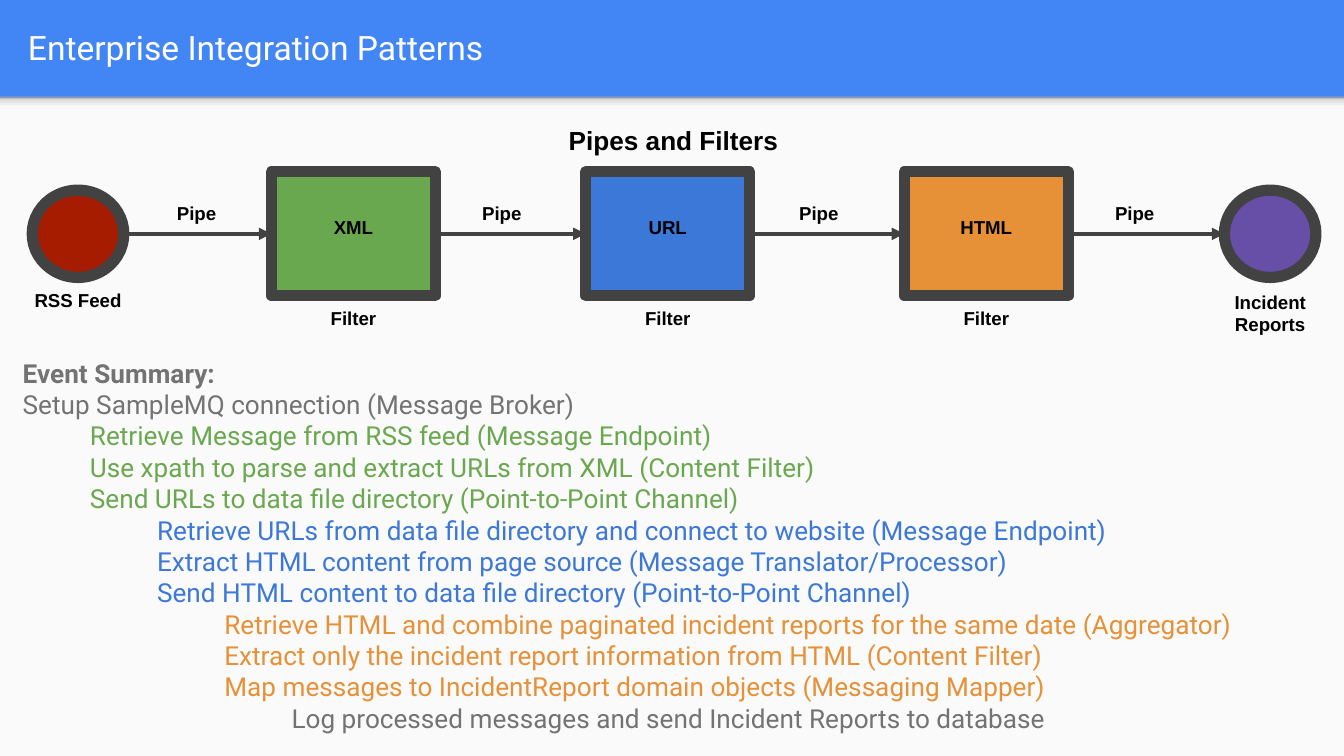
import pptx
import pptx.util
import pptx.dml.color
import pptx.enum.shapes
import pptx.enum.text
import pptx.oxml
import pptx.oxml.ns
from lxml import etree

Cm = pptx.util.Cm
Pt = pptx.util.Pt
RGB = pptx.dml.color.RGBColor
Kind = pptx.enum.shapes.MSO_SHAPE
Align = pptx.enum.text.PP_ALIGN
Anchor = pptx.enum.text.MSO_ANCHOR
qn = pptx.oxml.ns.qn

BLUE = RGB(0x42, 0x85, 0xF4)
PAPER = RGB(0xFA, 0xFA, 0xFA)
WHITE = RGB(0xFF, 0xFF, 0xFF)
BLACK = RGB(0, 0, 0)
DARK = RGB(0x42, 0x42, 0x42)
GRAY = RGB(0x73, 0x73, 0x73)
RED = RGB(0xA6, 0x1C, 0x00)
GREEN = RGB(0x6A, 0xA8, 0x4F)
AZURE = RGB(0x3C, 0x78, 0xD8)
ORANGE = RGB(0xE6, 0x91, 0x38)
PURPLE = RGB(0x67, 0x4E, 0xA7)

TITLE = "Enterprise Integration Patterns"
HEADING = "Pipes and Filters"
# left edge, preset, fill, inner label, caption
NODES = [
    (0.61, Kind.OVAL, RED, "", "RSS Feed"),
    (5.13, Kind.RECTANGLE, GREEN, "XML", "Filter"),
    (11.07, Kind.RECTANGLE, AZURE, "URL", "Filter"),
    (17.09, Kind.RECTANGLE, ORANGE, "HTML", "Filter"),
    (23.14, Kind.OVAL, PURPLE, "", "Incident\nReports"),
]
SIZES = {Kind.OVAL: (1.73, 1.65), Kind.RECTANGLE: (3.1, 2.34)}
PIPES = [2.46, 8.23, 14.22, 20.19]
# each group sits one step further in
EVENTS = [
    (GRAY, ["Event Summary:", "Setup SampleMQ connection (Message Broker)"]),
    (GREEN, [
        "Retrieve Message from RSS feed (Message Endpoint)",
        "Use xpath to parse and extract URLs from XML (Content Filter)",
        "Send URLs to data file directory (Point-to-Point Channel)"]),
    (AZURE, [
        "Retrieve URLs from data file directory and connect to website (Message Endpoint)",
        "Extract HTML content from page source (Message Translator/Processor)",
        "Send HTML content to data file directory (Point-to-Point Channel)"]),
    (ORANGE, [
        "Retrieve HTML and combine paginated incident reports for the same date (Aggregator)",
        "Extract only the incident report information from HTML (Content Filter)",
        "Map messages to IncidentReport domain objects (Messaging Mapper)"]),
    (GRAY, ["Log processed messages and send Incident Reports to database"]),
]
SHADE = [(0, "F9F9F9"), (36, "F9F9F9"), (80, "DEDEDE"), (100, "999999")]
AXIS = 4.42
STEP = 1.27
LABEL = (2.51, 1.24)

deck = pptx.Presentation()
deck.slide_width, deck.slide_height = Cm(25.4), Cm(14.29)
slide = deck.slides.add_slide(deck.slide_layouts[6])
shapes = slide.shapes


def style(run, size, font, color, bold=False):
    run.font.size, run.font.name = Pt(size), font
    run.font.color.rgb, run.font.bold = color, bold


def write(x, y, w, h, text, size, font, color, bold=False, align=Align.LEFT):
    box = shapes.add_textbox(Cm(x), Cm(y), Cm(w), Cm(h))
    frame = box.text_frame
    frame.word_wrap = True
    frame.margin_left = frame.margin_right = Cm(0.25)
    frame.margin_top = frame.margin_bottom = Cm(0.25)
    frame.text = text
    for para in frame.paragraphs:
        para.alignment = align
        for run in para.runs:
            style(run, size, font, color, bold)
    return frame


def label(x, y, text):
    write(x, y, *LABEL, text, 10, "Arial", BLACK, True, Align.CENTER)


def draw(kind, x, y, w, h, color):
    shape = shapes.add_shape(kind, Cm(x), Cm(y), Cm(w), Cm(h))
    shape.shadow.inherit = False
    shape.fill.solid()
    shape.fill.fore_color.rgb = color
    shape.line.fill.background()
    return shape


def shade(shape):
    """Give the shape a gradient that darkens towards its top."""
    shape.fill.gradient()
    shape.fill.gradient_angle = 90
    stops = shape._element.spPr.find(".//" + qn("a:gsLst"))
    for stop in list(stops):
        stops.remove(stop)
    for place, color in SHADE:
        stop = etree.SubElement(stops, qn("a:gs"), pos=str(place * 1000))
        etree.SubElement(stop, qn("a:srgbClr"), val=color)


def pipe(left, right):
    """Join two neighbouring nodes with an arrow."""
    line = shapes.add_connector(
        pptx.enum.shapes.MSO_CONNECTOR.STRAIGHT,
        left.left + left.width, Cm(AXIS), right.left, Cm(AXIS))
    if left.auto_shape_type == Kind.RECTANGLE:
        line.begin_connect(left, 3)
    if right.auto_shape_type == Kind.RECTANGLE:
        line.end_connect(right, 1)
    line.line.color.rgb, line.line.width = DARK, Pt(2.25)
    etree.SubElement(line.line._get_or_add_ln(), qn("a:tailEnd"), type="triangle")
    etree.SubElement(line._element.spPr, qn("a:effectLst"))


# Frame of the page
slide.background.fill.solid()
slide.background.fill.fore_color.rgb = BLUE
draw(Kind.RECTANGLE, 0, 1.83, 25.4, 12.46, PAPER)
shade(draw(Kind.RECTANGLE, 0, 1.83, 25.4, 0.3, PAPER))
title = write(0.28, 0.05, 24.5, 1.68, TITLE, 18, "Roboto", WHITE)
title.vertical_anchor = Anchor.MIDDLE

# Event summary
lines = [(depth, color, text) for depth, (color, group) in enumerate(EVENTS)
         for text in group]
body = write(0.18, 6.5, 25.07, 7.44, "\n".join(text for _, _, text in lines),
             14, "Roboto", GRAY)
for para, (depth, color, _) in zip(body.paragraphs, lines):
    para.runs[0].font.color.rgb = color
    if depth:
        props = para._p.get_or_add_pPr()
        props.set("marL", str(Cm(STEP * (depth - 1))))
        props.set("indent", str(Cm(STEP)))
body.paragraphs[0].runs[0].font.bold = True

# Diagram
nodes = []
for x, kind, color, name, note in NODES:
    w, h = SIZES[kind]
    node = draw(kind, x, AXIS - h / 2, w, h, color)
    node.line.color.rgb, node.line.width = DARK, Pt(6)
    etree.SubElement(node.line._get_or_add_ln(), qn("a:round"))
    nodes.append(node)
    side = x + (w - LABEL[0]) / 2
    label(side, AXIS + h / 2, note)
    if name:
        label(side, 3.86, name)
for left, right, x in zip(nodes, nodes[1:], PIPES):
    pipe(left, right)
    label(x, 3.61, "Pipe")
write(8.92, 2.11, 7.62, 1.12, HEADING, 14, "Arial", BLACK, True, Align.CENTER)

deck.save("out.pptx")
